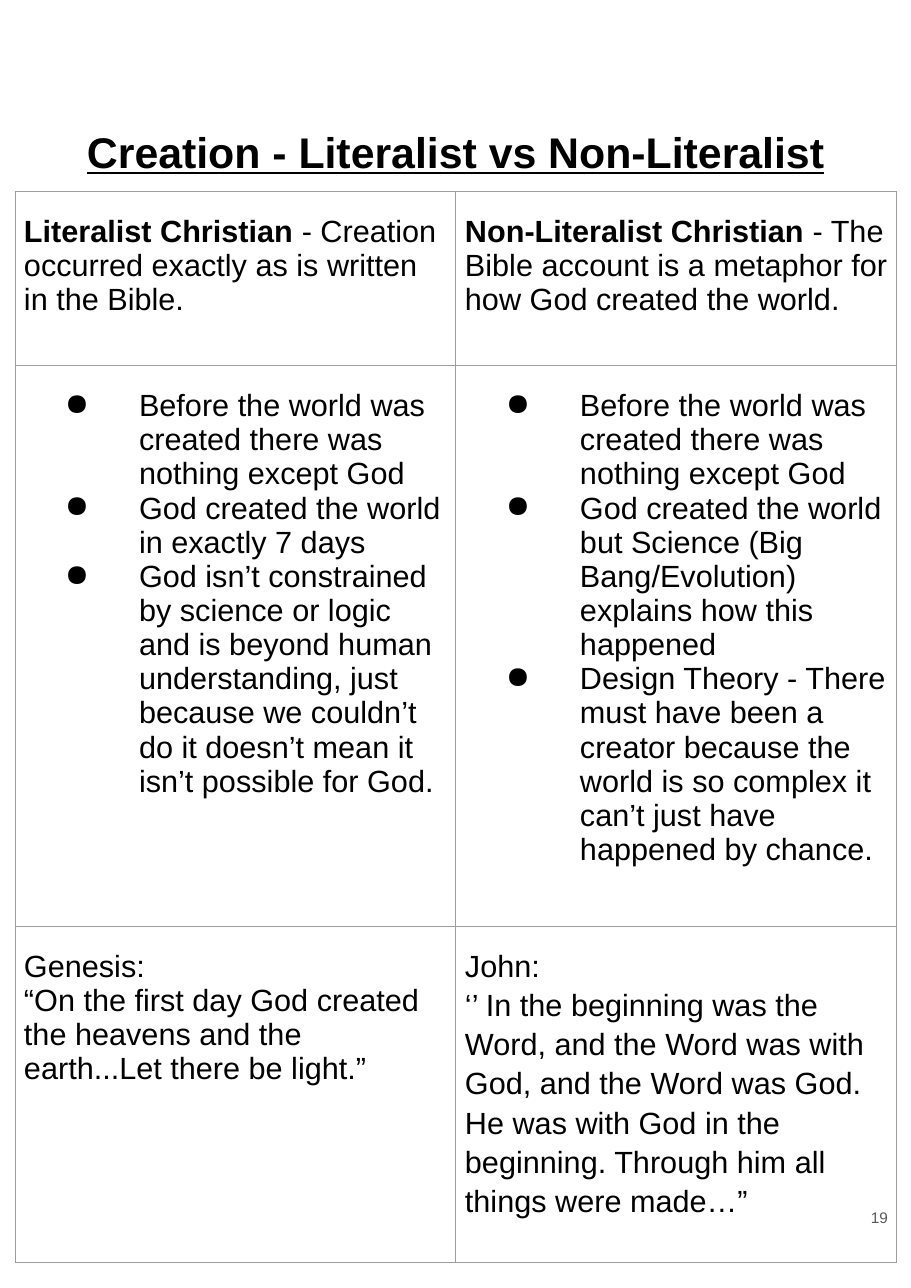
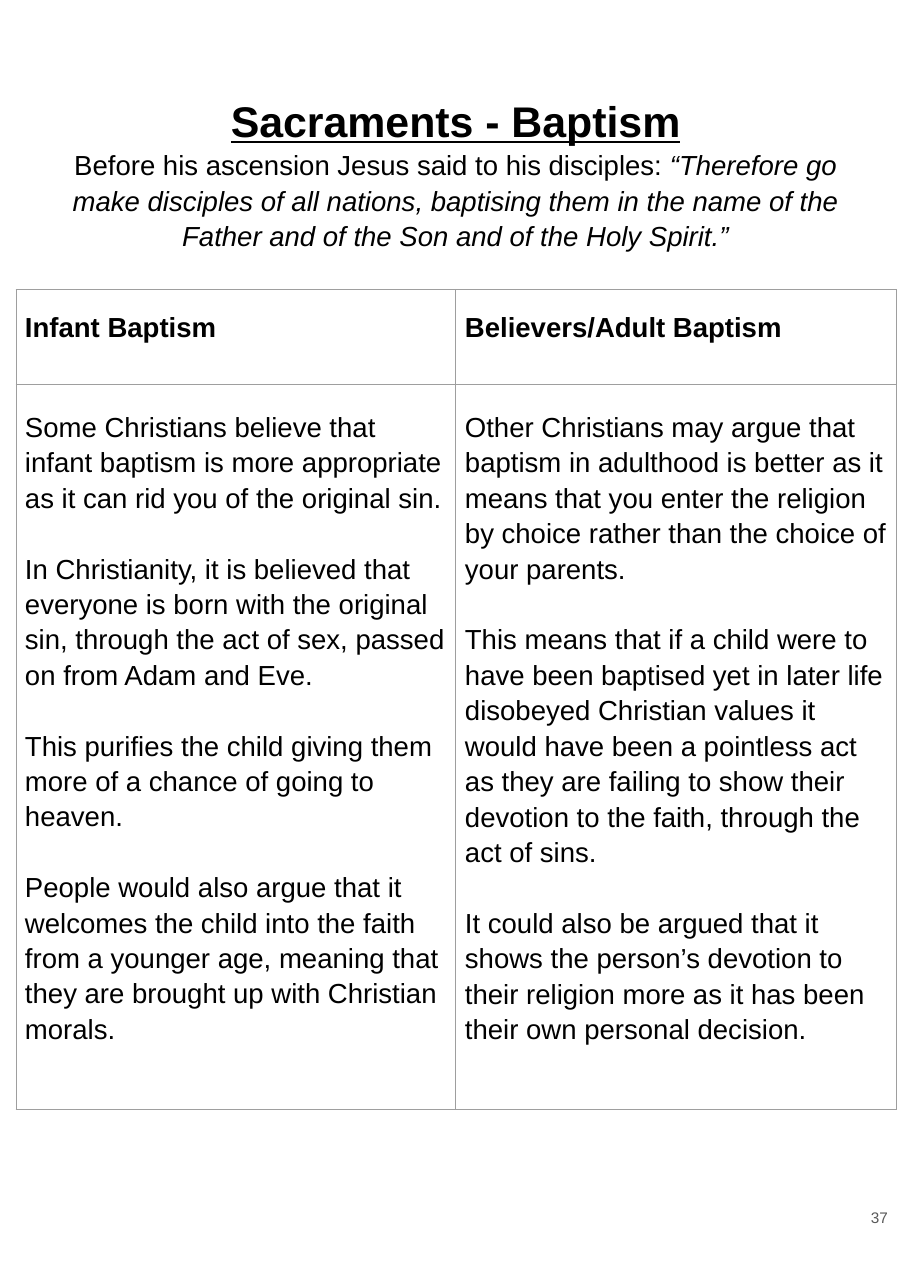
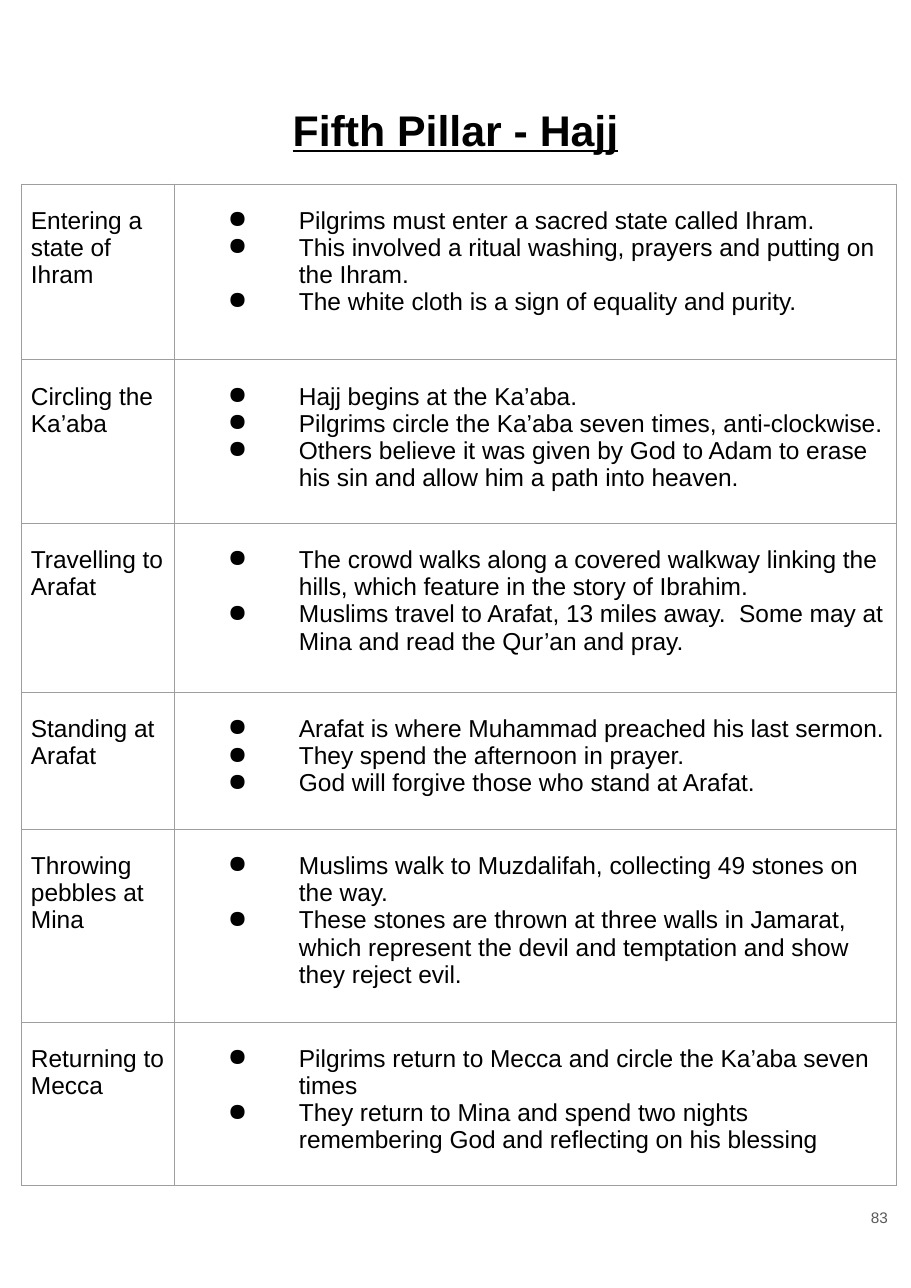
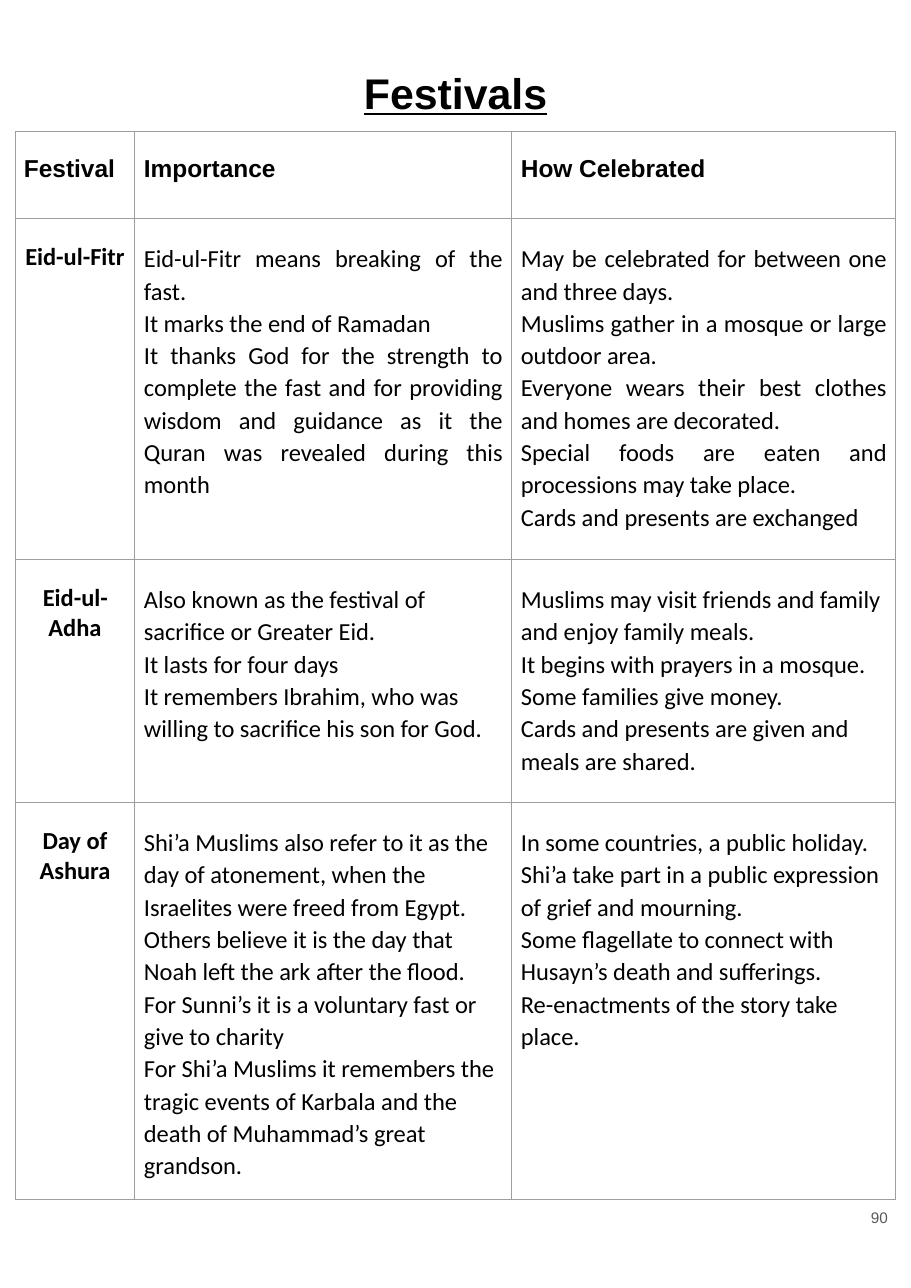
from dataclasses import dataclass

from lxml.etree import SubElement
from pptx import Presentation
from pptx.dml.color import RGBColor
from pptx.enum.text import MSO_ANCHOR as Anchor, PP_ALIGN as Align
from pptx.oxml.ns import qn
from pptx.util import Emu, Pt


@dataclass(frozen=True)
class Theme:
    ink: str = "000000"
    muted: str = "595959"
    grid: str = "9E9E9E"
    font: str = "Arial"
    alt_font: str = "Calibri"
    title_size: int = 28
    subtitle_size: int = 18
    page_size: int = 10
    title_spacing: float = 1.07
    border: float = 0.75
    box_inset: int = 11
    cell_inset: tuple = (9, 23)


THEME = Theme()
PAGE_W, PAGE_H = 911, 1288
PX_PER_INCH = 110.2

# Cell formats
PLAIN = {}
HEADING = dict(bold=True)
BULLETS = dict(bullet=(115, 74))
PILLAR_BULLETS = dict(bullet=(115, 71))
ARGUMENT = dict(spacing=1.15, gap=23)
FESTIVAL = dict(bold=True, font=THEME.alt_font, align=Align.CENTER)
DETAIL = dict(font=THEME.alt_font, spacing=1.08)
JUSTIFIED = DETAIL | dict(align=Align.JUSTIFY)
PILLAR = [PLAIN, PILLAR_BULLETS]

# Content: a line is a string or a list of (text, format) runs;
# a row is (height, format of each column, cells)
SUBTITLE = dict(size=THEME.subtitle_size, bold=False, underline=False)

SLIDES = [
    dict(
        page=19, title_top=111, title=["Creation - Literalist vs Non-Literalist"],
        left=15, top=192, size=20, columns=[441, 441],
        rows=[
            (174, [PLAIN] * 2, [
                [[("Literalist Christian", HEADING),
                  (" - Creation occurred exactly as is written in the Bible.", PLAIN)]],
                [[("Non-Literalist Christian", HEADING),
                  (" - The Bible account is a metaphor for how God created the world.", PLAIN)]],
            ]),
            (523, [BULLETS] * 2, [
                ["Before the world was created there was nothing except God",
                 "God created the world in exactly 7 days",
                 "God isn’t constrained by science or logic and is beyond human understanding, "
                 "just because we couldn’t do it doesn’t mean it isn’t possible for God."],
                ["Before the world was created there was nothing except God",
                 "God created the world but Science (Big Bang/Evolution) explains how this happened",
                 "Design Theory - There must have been a creator because the world is so complex "
                 "it can’t just have happened by chance."],
            ]),
            (315, [PLAIN] * 2, [
                ["Genesis:",
                 "“On the first day God created the heavens and the earth...Let there be light.”"],
                ["John:",
                 [("‘’ In the beginning was the Word, and the Word was with God, and the Word was "
                   "God. He was with God in the beginning. Through him all things were made…”",
                   dict(spacing=1.15))]],
            ]),
        ],
    ),
    dict(
        page=37, title_top=80,
        title=[
            "Sacraments - Baptism",
            [("Before his ascension Jesus said to his disciples:", SUBTITLE),
             (" “Therefore go make disciples of all nations, baptising them in the name of the "
              "Father and of the Son and of the Holy Spirit.”", SUBTITLE | dict(italic=True))],
        ],
        left=16, top=290, size=18, columns=[440, 441],
        rows=[
            (95, [HEADING] * 2, [["Infant Baptism"], ["Believers/Adult Baptism"]]),
            (719, [ARGUMENT] * 2, [
                ["Some Christians believe that infant baptism is more appropriate as it can rid "
                 "you of the original sin.",
                 "In Christianity, it is believed that everyone is born with the original sin, "
                 "through the act of sex, passed on from Adam and Eve.",
                 "This purifies the child giving them more of a chance of going to heaven.",
                 "People would also argue that it welcomes the child into the faith from a younger "
                 "age, meaning that they are brought up with Christian morals."],
                ["Other Christians may argue that baptism in adulthood is better as it means that "
                 "you enter the religion by choice rather than the choice of your parents.",
                 "This means that if a child were to have been baptised yet in later life disobeyed "
                 "Christian values it would have been a pointless act as they are failing to show "
                 "their devotion to the faith, through the act of sins.",
                 "It could also be argued that it shows the person’s devotion to their religion "
                 "more as it has been their own personal decision."],
            ]),
        ],
    ),
    dict(
        page=83, title_top=89, title=["Fifth Pillar - Hajj"],
        left=22, top=184, size=16, columns=[153, 722],
        rows=[
            (176, PILLAR, [
                ["Entering a state of Ihram"],
                ["Pilgrims must enter a sacred state called Ihram.",
                 "This involved a ritual washing, prayers and putting on the Ihram.",
                 "The white cloth is a sign of equality and purity."],
            ]),
            (155, PILLAR, [
                ["Circling the Ka’aba"],
                ["Hajj begins at the Ka’aba.",
                 "Pilgrims circle the Ka’aba seven times, anti-clockwise.",
                 "Others believe it was given by God to Adam to erase his sin and allow him a "
                 "path into heaven."],
            ]),
            (169, PILLAR, [
                ["Travelling to Arafat"],
                ["The crowd walks along a covered walkway linking the hills, which feature in the "
                 "story of Ibrahim.",
                 "Muslims travel to Arafat, 13 miles away.  Some may at Mina and read the Qur’an "
                 "and pray."],
            ]),
            (137, PILLAR, [
                ["Standing at Arafat"],
                ["Arafat is where Muhammad preached his last sermon.",
                 "They spend the afternoon in prayer.",
                 "God will forgive those who stand at Arafat."],
            ]),
            (181, PILLAR, [
                ["Throwing pebbles at Mina"],
                ["Muslims walk to Muzdalifah, collecting 49 stones on the way.",
                 "These stones are thrown at three walls in Jamarat, which represent the devil and "
                 "temptation and show they reject evil."],
            ]),
            (155, PILLAR, [
                ["Returning to Mecca"],
                ["Pilgrims return to Mecca and circle the Ka’aba seven times",
                 "They return to Mina and spend two nights remembering God and reflecting on his "
                 "blessing"],
            ]),
        ],
    ),
    dict(
        page=90, title_top=52, title=["Festivals"],
        left=15, top=132, size=16, columns=[120, 377, 384],
        rows=[
            (87, [HEADING] * 3, [["Festival"], ["Importance"], ["How Celebrated"]]),
            (341, [FESTIVAL, JUSTIFIED, JUSTIFIED], [
                ["Eid-ul-Fitr"],
                ["Eid-ul-Fitr means breaking of the fast.",
                 "It marks the end of Ramadan",
                 "It thanks God for the strength to complete the fast and for providing wisdom and "
                 "guidance as it the Quran was revealed during this month"],
                ["May be celebrated for between one and three days.",
                 "Muslims gather in a mosque or large outdoor area.",
                 "Everyone wears their best clothes and homes are decorated.",
                 "Special foods are eaten and processions may take place.",
                 "Cards and presents are exchanged"],
            ]),
            (243, [FESTIVAL, DETAIL, DETAIL], [
                ["Eid-ul-Adha"],
                ["Also known as the festival of sacrifice or Greater Eid.",
                 "It lasts for four days",
                 "It remembers Ibrahim, who was willing to sacrifice his son for God."],
                ["Muslims may visit friends and family and enjoy family meals.",
                 "It begins with prayers in a mosque.",
                 "Some families give money.",
                 "Cards and presents are given and meals are shared."],
            ]),
            (397, [FESTIVAL, DETAIL, DETAIL], [
                ["Day of Ashura"],
                ["Shi’a Muslims also refer to it as the day of atonement, when the Israelites were "
                 "freed from Egypt.",
                 "Others believe it is the day that Noah left the ark after the flood.",
                 "For Sunni’s it is a voluntary fast or give to charity",
                 "For Shi’a Muslims it remembers the tragic events of Karbala and the death of "
                 "Muhammad’s great grandson."],
                ["In some countries, a public holiday.",
                 "Shi’a take part in a public expression of grief and mourning.",
                 "Some flagellate to connect with Husayn’s death and sufferings.",
                 "Re-enactments of the story take place."],
            ]),
        ],
    ),
]

BASE = dict(size=16, font=THEME.font, color=THEME.ink, bold=False, italic=False,
            underline=False, align=Align.LEFT, spacing=None, gap=0, bullet=None)


def px(length):
    return Emu(round(length * 914400 / PX_PER_INCH))


def add_bullet(paragraph, indent, hang):
    props = paragraph._p.get_or_add_pPr()
    props.set("marL", str(px(indent)))
    props.set("indent", str(-px(hang)))
    SubElement(SubElement(props, qn("a:buClr")), qn("a:srgbClr"), val=THEME.ink)
    SubElement(props, qn("a:buChar"), char="●")


def write(frame, lines, **text_format):
    """Fill a text frame; the first run of a line also sets its paragraph format."""
    shared = BASE | text_format
    for index, line in enumerate(lines):
        paragraph = frame.add_paragraph() if index else frame.paragraphs[0]
        runs = [(line, {})] if isinstance(line, str) else line
        look = shared | runs[0][1]
        if look["bullet"]:
            add_bullet(paragraph, *look["bullet"])
        paragraph.alignment = look["align"]
        if look["spacing"]:
            paragraph.line_spacing = look["spacing"]
        if index and look["gap"]:
            paragraph.space_before = Pt(look["gap"])
        for text, extra in runs:
            style = shared | extra
            run = paragraph.add_run()
            run.text = text
            font = run.font
            font.name, font.size = style["font"], Pt(style["size"])
            font.bold, font.italic = style["bold"], style["italic"]
            font.underline = style["underline"]
            font.color.rgb = RGBColor.from_string(style["color"])


def add_text(slide, box, lines, anchor=Anchor.TOP, **text_format):
    frame = slide.shapes.add_textbox(*map(px, box)).text_frame
    frame.word_wrap = True
    frame.vertical_anchor = anchor
    frame.margin_left = frame.margin_right = px(THEME.box_inset)
    frame.margin_top = frame.margin_bottom = px(THEME.box_inset)
    write(frame, lines, **text_format)


def style_cell(cell):
    side, end = map(px, THEME.cell_inset)
    cell.margin_left = cell.margin_right = side
    cell.margin_top = cell.margin_bottom = end
    props = cell._tc.get_or_add_tcPr()
    for edge in ("a:lnL", "a:lnR", "a:lnT", "a:lnB"):
        border = SubElement(props, qn(edge), w=str(Pt(THEME.border)))
        SubElement(SubElement(border, qn("a:solidFill")), qn("a:srgbClr"), val=THEME.grid)
    cell.fill.background()


def add_grid(slide, left, top, columns, rows, size):
    heights = [height for height, _, _ in rows]
    box = (left, top, sum(columns), sum(heights))
    table = slide.shapes.add_table(len(rows), len(columns), *map(px, box)).table
    table.first_row = table.horz_banding = False
    for column, width in zip(table.columns, columns):
        column.width = px(width)
    for row, (height, formats, cells) in zip(table.rows, rows):
        row.height = px(height)
        for cell, cell_format, lines in zip(row.cells, formats, cells):
            style_cell(cell)
            write(cell.text_frame, lines, size=size, **cell_format)


def main():
    deck = Presentation()
    deck.slide_width, deck.slide_height = px(PAGE_W), px(PAGE_H)
    for content in SLIDES:
        slide = deck.slides.add_slide(deck.slide_layouts[6])
        # Title
        add_text(slide, (31, content["title_top"], 849, 143), content["title"],
                 size=THEME.title_size, bold=True, underline=True,
                 align=Align.CENTER, spacing=THEME.title_spacing)
        # Table
        add_grid(slide, content["left"], content["top"], content["columns"],
                 content["rows"], content["size"])
        # Page number
        add_text(slide, (844, 1168, 55, 98), [str(content["page"])], Anchor.MIDDLE,
                 size=THEME.page_size, color=THEME.muted, align=Align.RIGHT)
    deck.save("out.pptx")


if __name__ == "__main__":
    main()
